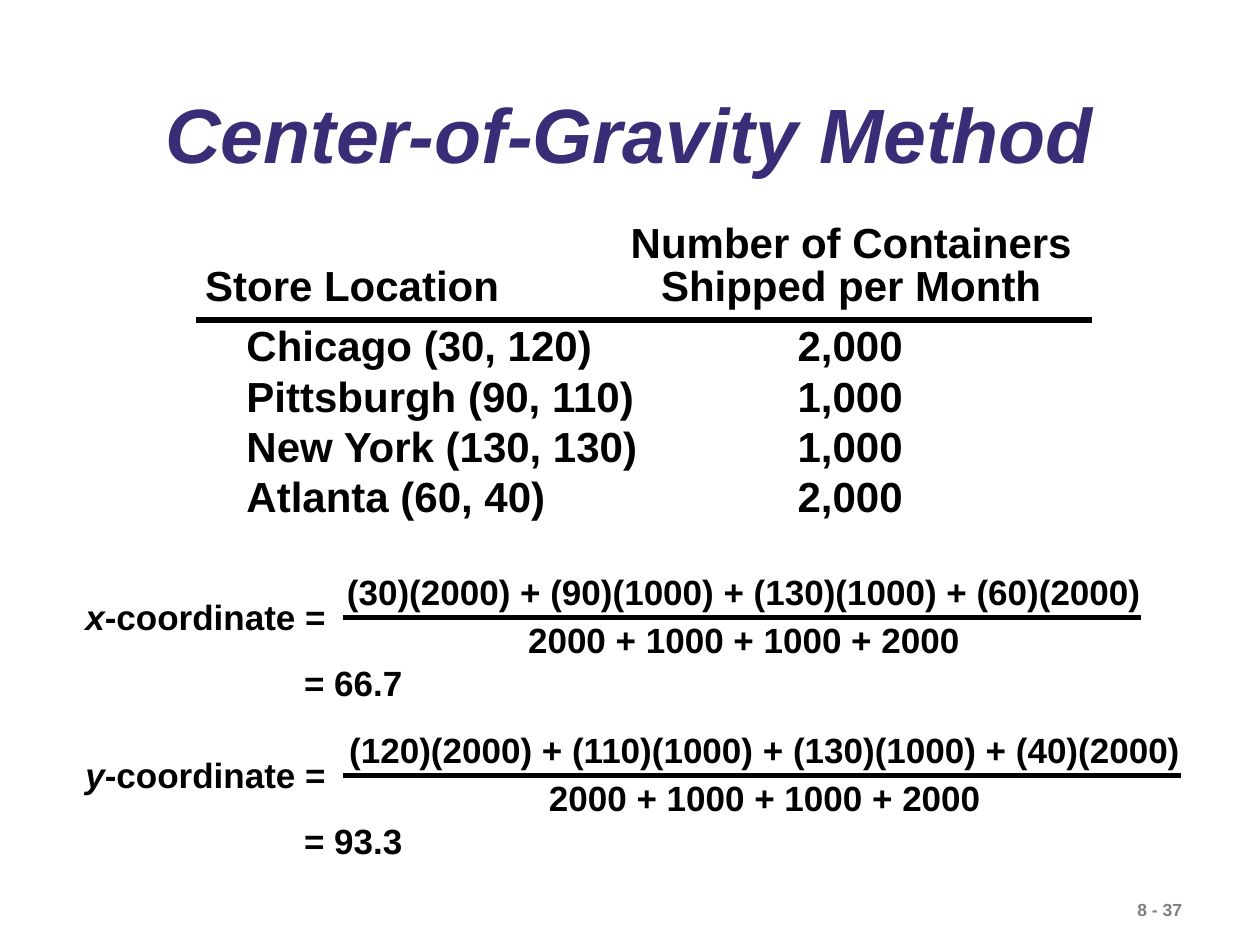
from dataclasses import dataclass, field

from pptx import Presentation
from pptx.dml.color import RGBColor
from pptx.enum.text import MSO_ANCHOR, MSO_AUTO_SIZE, PP_ALIGN
from pptx.oxml.ns import qn
from pptx.util import Cm, Pt
from lxml.etree import SubElement


@dataclass(frozen=True)
class Theme:
    face: str = "Arial"
    ink: RGBColor = RGBColor(0, 0, 0)
    plum: RGBColor = RGBColor(0x3A, 0x2C, 0x76)
    gray: RGBColor = RGBColor(0x7F, 0x7F, 0x7F)
    title: int = 44
    table: int = 24
    math: int = 20
    foot: int = 10
    rule: int = 3


THEME = Theme()


@dataclass
class Label:
    """Text box in cm; each line is a list of (text, italic) runs."""
    box: tuple
    lines: list
    size: int
    color: RGBColor = THEME.ink
    para: dict = field(default_factory=dict)
    frame: dict = field(default_factory=dict)
    tabs: tuple = ()


@dataclass
class Ratio:
    """One coordinate worked out as a fraction."""
    axis: str
    top: str
    answer: str
    left: float
    width: float
    end: float


def assign(item, values: dict) -> None:
    for name, value in values.items():
        setattr(item, name, value)


def plain(*lines: str) -> list:
    return [[(line, False)] for line in lines]


def write(shapes, label: Label) -> None:
    frame = shapes.add_textbox(*map(Cm, label.box)).text_frame
    assign(frame, {"word_wrap": False, "auto_size": MSO_AUTO_SIZE.SHAPE_TO_FIT_TEXT,
                   **label.frame})
    for i, line in enumerate(label.lines):
        para = frame.paragraphs[0] if i == 0 else frame.add_paragraph()
        if label.tabs:
            stops = SubElement(para._p.get_or_add_pPr(), qn("a:tabLst"))
            for pos, kind in label.tabs:
                SubElement(stops, qn("a:tab"), pos=str(Cm(pos)), algn=kind)
        assign(para, label.para)
        for text, slant in line:
            run = para.add_run()
            run.text = text
            assign(run.font, {"name": THEME.face, "size": Pt(label.size),
                              "bold": True, "italic": slant})
            run.font.color.rgb = label.color


def rule(shapes, left: float, right: float, y: float) -> None:
    bar = shapes.add_connector(1, Cm(left), Cm(y), Cm(right), Cm(y))
    bar.line.width = Pt(THEME.rule)
    bar.line.color.rgb = THEME.ink
    SubElement(bar._element.spPr, qn("a:effectLst"))


def solve(shapes, ratio: Ratio, y: float) -> None:
    """Draw label, fraction and answer around the bar at height y."""
    size = THEME.math
    write(shapes, Label((1.47, y - 0.56, 5.36, 1.12),
                        [[(ratio.axis, True), ("-coordinate =", False)]], size))
    write(shapes, Label((ratio.left, y - 1.2, ratio.width, 2.21),
                        plain(ratio.top, "2000 + 1000 + 1000 + 2000"), size,
                        para={"alignment": PP_ALIGN.CENTER, "line_spacing": 1.15}))
    rule(shapes, 6.91, ratio.end, y)
    write(shapes, Label((5.88, y + 0.77, 2.49, 1.12), plain(ratio.answer), size))


STORES = [
    ("Chicago (30, 120)", "2,000"),
    ("Pittsburgh (90, 110)", "1,000"),
    ("New York (130, 130)", "1,000"),
    ("Atlanta (60, 40)", "2,000"),
]

# Fraction boxes are a little wider than their top line, so it stays whole
RATIOS = [
    Ratio("x", "(30)(2000) + (90)(1000) + (130)(1000) + (60)(2000)",
          "= 66.7", 6.6, 16.8, 23.01),
    Ratio("y", "(120)(2000) + (110)(1000) + (130)(1000) + (40)(2000)",
          "= 93.3", 6.62, 17.6, 23.8),
]


def main() -> None:
    deck = Presentation()
    assign(deck, {"slide_width": Cm(25.4), "slide_height": Cm(19.05)})
    shapes = deck.slides.add_slide(deck.slide_layouts[6]).shapes

    # Page number and title
    write(shapes, Label((22.68, 18, 2.72, 0.69), plain("8 - 37"),
                        THEME.foot, THEME.gray))
    write(shapes, Label((1.9, 1.57, 21.59, 2.46),
                        [[("Center-of-Gravity Method", True)]],
                        THEME.title, THEME.plum,
                        para={"alignment": PP_ALIGN.CENTER, "line_spacing": 0.9},
                        frame={"word_wrap": True, "auto_size": MSO_AUTO_SIZE.NONE,
                               "vertical_anchor": MSO_ANCHOR.MIDDLE}))

    # Store list, set on tab stops
    write(shapes, Label((3.4, 4.39, 18.47, 1.98),
                        plain("\t\tNumber of Containers",
                              "\tStore Location\tShipped per Month"),
                        THEME.table, para={"line_spacing": 0.85},
                        tabs=((3.45, "ctr"), (13.51, "ctr"))))
    write(shapes, Label((3.91, 6.32, 16.81, 4.32),
                        plain(*(f"\t{place}\t{count}" for place, count in STORES)),
                        THEME.table, frame={"word_wrap": True},
                        tabs=((0.81, "l"), (14.04, "r"))))
    rule(shapes, 3.96, 22.02, 6.45)

    # Coordinates
    for i, ratio in enumerate(RATIOS):
        solve(shapes, ratio, 12.45 + 3.18 * i)

    deck.save("out.pptx")


if __name__ == "__main__":
    main()
